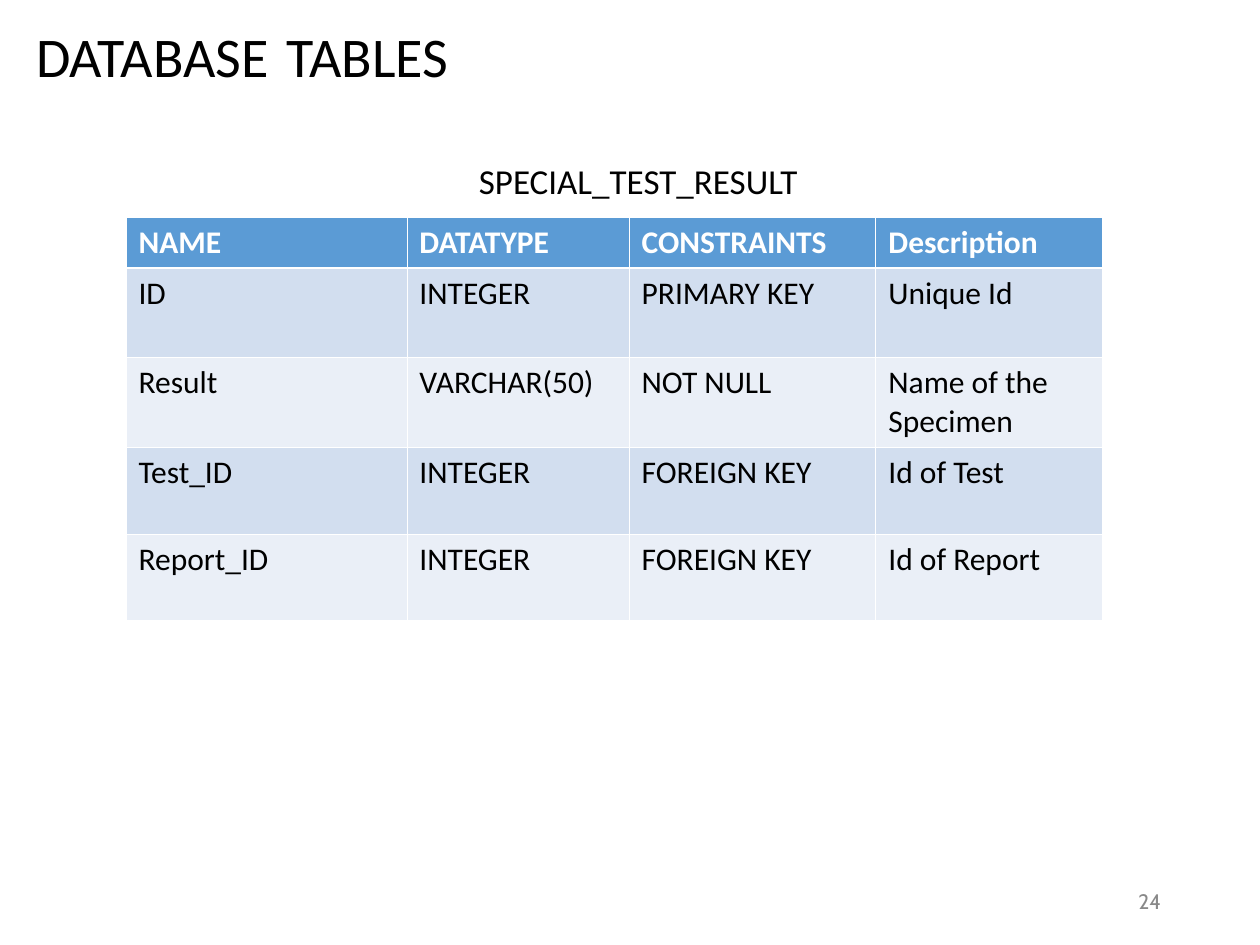
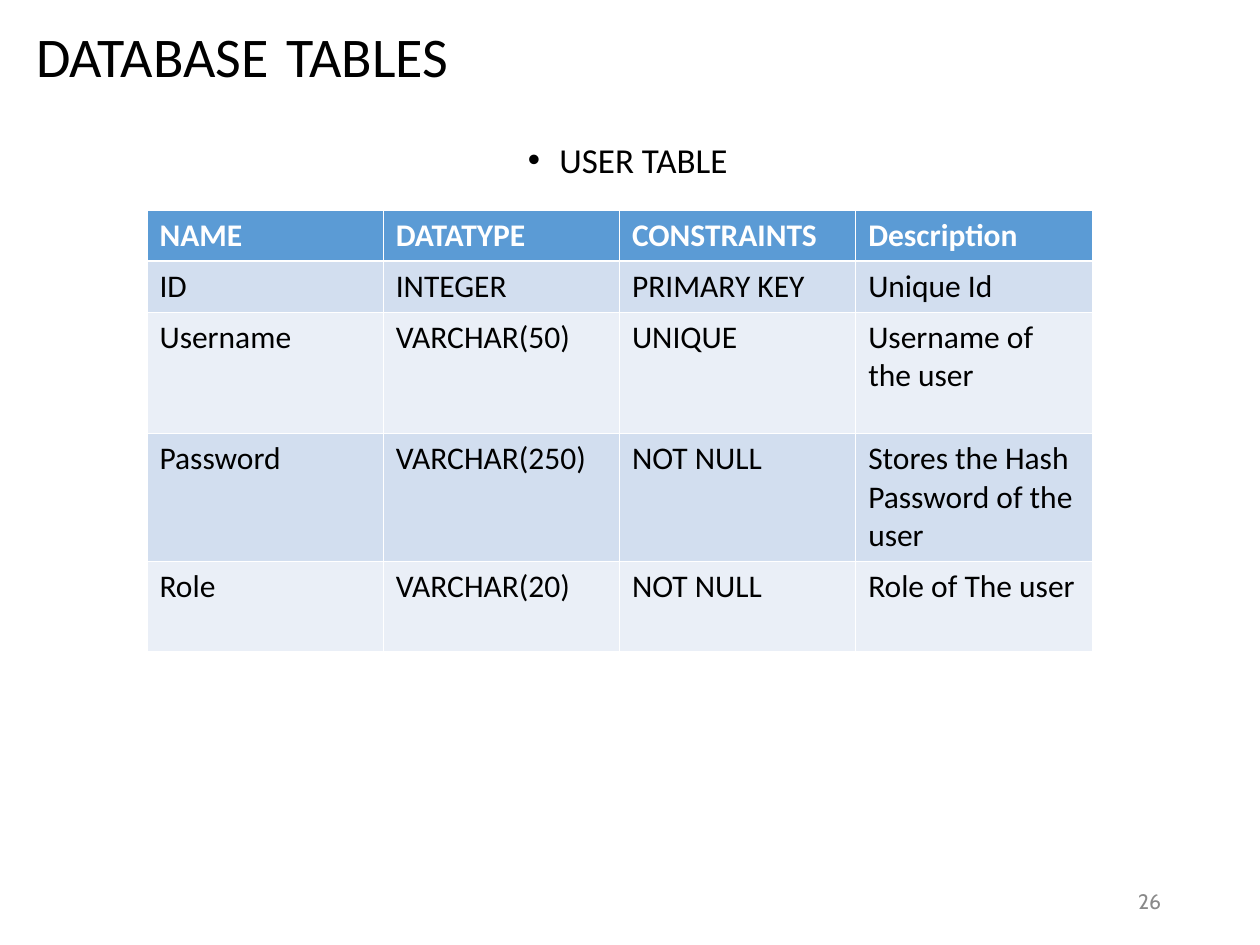
from lxml.etree import SubElement
from pptx import Presentation
from pptx.dml.color import RGBColor
from pptx.enum.text import MSO_ANCHOR, MSO_AUTO_SIZE, PP_ALIGN
from pptx.oxml.ns import qn
from pptx.util import Pt

# Content
TITLE_WORDS = ("DATABASE", "TABLES")
HEADINGS = ("NAME", "DATATYPE", "CONSTRAINTS", "Description")
TABLE_SLIDES = [
    {
        "number": "24",
        "caption": "SPECIAL_TEST_RESULT",
        "bullet": False,
        "caption_box": (54, 90, 621.5, 42.5),
        "table_corner": (72, 124),
        "columns": (160.5, 127, 141, 129.5),
        "row_heights": (29.2, 51.2, 51, 49.6, 49.4),
        "rows": [
            ("ID", "INTEGER", "PRIMARY KEY", "Unique Id"),
            ("Result", "VARCHAR(50)", "NOT NULL", "Name of the Specimen"),
            ("Test_ID", "INTEGER", "FOREIGN KEY", "Id of Test"),
            ("Report_ID", "INTEGER", "FOREIGN KEY", "Id of Report"),
        ],
    },
    {
        "number": "26",
        "caption": "USER TABLE",
        "bullet": True,
        "caption_box": (48, 78, 621.5, 48),
        "table_corner": (84, 120),
        "columns": (135,) * 4,
        "row_heights": (29.2, 29.2, 69.2, 73.2, 51.2),
        "rows": [
            ("ID", "INTEGER", "PRIMARY KEY", "Unique Id"),
            ("Username", "VARCHAR(50)", "UNIQUE", "Username of the user"),
            ("Password", "VARCHAR(250)", "NOT NULL",
             "Stores the Hash Password of the user"),
            ("Role", "VARCHAR(20)", "NOT NULL", "Role of The user"),
        ],
    },
]

# Shared look
COLORS = {
    "text": "000000",
    "heading_text": "FFFFFF",
    "heading_fill": "5B9BD5",
    "odd_row": "D2DEEF",
    "even_row": "EAEFF7",
    "border": "FFFFFF",
    "number": "898989",
}
TITLE_BOX = (13.5, 6, 268.5, 48)
NUMBER_BOX = (508.5, 500.5, 162, 28.5)
THIN_BORDER, HEADING_BORDER = 0.45, 1.47


def place(shape, box):
    shape.left, shape.top, shape.width, shape.height = map(Pt, box)


def set_font(font, size, color, name="Calibri", bold=False):
    font.name, font.size, font.bold = name, Pt(size), bold
    font.color.rgb = RGBColor.from_string(COLORS[color])


def add_title(slide):
    title = slide.shapes.title
    place(title, TITLE_BOX)
    frame = title.text_frame
    frame.auto_size = MSO_AUTO_SIZE.NONE
    frame.vertical_anchor = MSO_ANCHOR.MIDDLE
    paragraph = frame.paragraphs[0]
    paragraph.alignment = PP_ALIGN.LEFT
    paragraph.line_spacing = 0.9
    set_font(paragraph.font, 32, "text")
    first, last = TITLE_WORDS
    for text, size in ((first, 32), (" ", 44), (last, 32)):
        run = paragraph.add_run()
        run.text = text
        run.font.size = Pt(size)


def add_caption(slide, text, box, bullet):
    caption = slide.placeholders[1]
    place(caption, box)
    frame = caption.text_frame
    frame.auto_size = MSO_AUTO_SIZE.NONE
    paragraph = frame.paragraphs[0]
    paragraph.text = text
    paragraph.alignment = PP_ALIGN.CENTER
    paragraph.line_spacing = 0.9
    paragraph.space_before = Pt(10)
    set_font(paragraph.font, 20, "text")

    # Bullet and hanging indent, placed before the paragraph's font
    properties = paragraph._p.get_or_add_pPr()
    indent = Pt(18) if bullet else 0
    properties.set("marL", str(indent))
    properties.set("indent", str(-indent))
    font_element = properties.find(qn("a:defRPr"))
    if bullet:
        SubElement(properties, qn("a:buFont")).set("typeface", "Arial")
        SubElement(properties, qn("a:buChar")).set("char", "•")
    else:
        SubElement(properties, qn("a:buNone"))
    properties.append(font_element)


def add_number(slide, text):
    number = slide.shapes.add_textbox(*map(Pt, NUMBER_BOX))
    frame = number.text_frame
    frame.word_wrap = True
    frame.vertical_anchor = MSO_ANCHOR.MIDDLE
    paragraph = frame.paragraphs[0]
    paragraph.text = text
    paragraph.alignment = PP_ALIGN.RIGHT
    set_font(paragraph.font, 12, "number", "Cabin")


def set_borders(cell, top, bottom):
    widths = {"L": THIN_BORDER, "R": THIN_BORDER, "T": top, "B": bottom}
    for side, width in widths.items():
        line = SubElement(cell._tc.get_or_add_tcPr(), qn(f"a:ln{side}"))
        line.set("w", str(Pt(width)))
        fill = SubElement(line, qn("a:solidFill"))
        SubElement(fill, qn("a:srgbClr")).set("val", COLORS["border"])


def add_data_table(slide, corner, columns, row_heights, rows):
    size = (sum(columns), sum(row_heights))
    table = slide.shapes.add_table(
        len(row_heights), len(columns), *map(Pt, corner + size)).table
    for column, width in zip(table.columns, columns):
        column.width = Pt(width)
    for row, height in zip(table.rows, row_heights):
        row.height = Pt(height)

    for row_index, texts in enumerate([HEADINGS, *rows]):
        heading = row_index == 0
        fill = "heading_fill" if heading else "odd_row" if row_index % 2 else "even_row"
        for column_index, text in enumerate(texts):
            cell = table.cell(row_index, column_index)
            set_borders(cell,
                        top=HEADING_BORDER if row_index == 1 else THIN_BORDER,
                        bottom=HEADING_BORDER if heading else THIN_BORDER)
            cell.fill.solid()
            cell.fill.fore_color.rgb = RGBColor.from_string(COLORS[fill])
            paragraph = cell.text_frame.paragraphs[0]
            paragraph.text = text
            set_font(paragraph.font, 18, "heading_text" if heading else "text",
                     bold=heading)


def main():
    presentation = Presentation()
    presentation.slide_width, presentation.slide_height = Pt(720), Pt(540)
    for content in TABLE_SLIDES:
        slide = presentation.slides.add_slide(presentation.slide_layouts[1])
        add_title(slide)
        add_caption(slide, content["caption"], content["caption_box"], content["bullet"])
        add_data_table(slide, content["table_corner"], content["columns"],
                       content["row_heights"], content["rows"])
        add_number(slide, content["number"])
    presentation.save("out.pptx")


if __name__ == "__main__":
    main()
